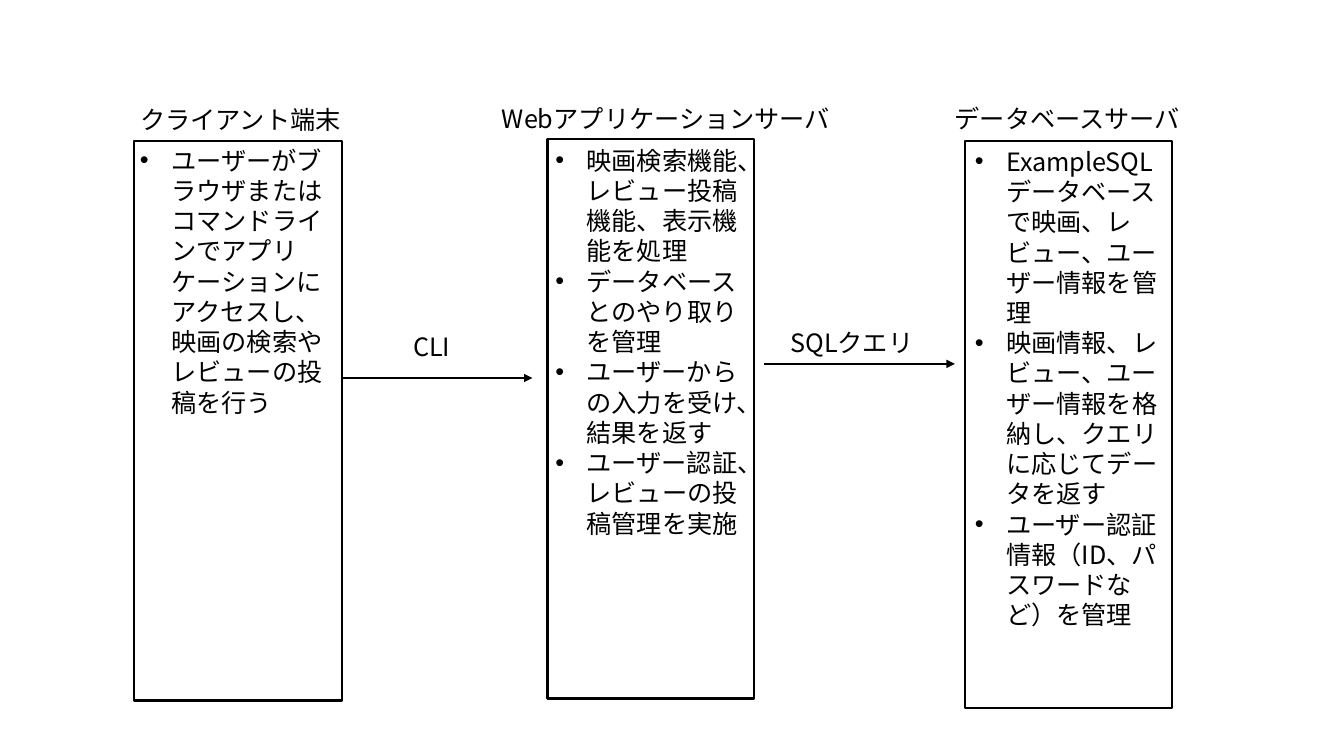
from lxml.etree import SubElement
from pptx import Presentation
from pptx.dml.color import RGBColor
from pptx.enum.shapes import MSO_CONNECTOR as Connector, MSO_SHAPE as Shape
from pptx.enum.text import MSO_AUTO_SIZE as AutoSize
from pptx.oxml.ns import qn
from pptx.util import Inches, Pt

COLORS = {"ink": "000000"}


class Diagram:
    font_format = {"name": "Noto Sans CJK JP", "size": Pt(18)}
    line_format = {"width": Pt(1.5)}
    bullet_indent = Inches(0.31)

    def __init__(self, slide):
        self.shapes = slide.shapes
        self.ink = RGBColor.from_string(COLORS["ink"])

    def apply(self, target, values):
        for key, value in values.items():
            setattr(target, key, value)

    def outline(self, line):
        self.apply(line, self.line_format)
        line.fill.solid()
        line.color.rgb = self.ink

    def frame(self, left, top, width, height):
        box = self.shapes.add_shape(Shape.RECTANGLE, *map(Inches, (left, top, width, height)))
        box.shadow.inherit = False
        box.fill.background()
        self.outline(box.line)

    def text(self, lines, left, top, width, height=0.4, wrap=True, bullets=False):
        body = self.shapes.add_textbox(*map(Inches, (left, top, width, height))).text_frame
        self.apply(body, {"word_wrap": wrap, "auto_size": AutoSize.SHAPE_TO_FIT_TEXT})
        for index, line in enumerate(lines):
            paragraph = body.add_paragraph() if index else body.paragraphs[0]
            run = paragraph.add_run()
            run.text = line
            self.apply(run.font, self.font_format)
            run.font.color.rgb = self.ink
            SubElement(run._r.get_or_add_rPr(), qn("a:ea"), typeface=self.font_format["name"])
            if bullets:
                self.bullet(paragraph)

    def bullet(self, paragraph):
        properties = paragraph._p.get_or_add_pPr()
        properties.set("marL", str(self.bullet_indent))
        properties.set("indent", str(-self.bullet_indent))
        SubElement(properties, qn("a:buFont"), typeface="Arial")
        SubElement(properties, qn("a:buChar"), char="•")

    def arrow(self, start, end, y):
        link = self.shapes.add_connector(Connector.STRAIGHT, *map(Inches, (start, y, end, y)))
        self.outline(link.line)
        SubElement(link.line._get_or_add_ln(), qn("a:tailEnd"), type="triangle")
        SubElement(link._element.spPr, qn("a:effectLst"))


CLIENT_DUTIES = [
    "ユーザーがブラウザまたはコマンドラインでアプリケーションにアクセスし、映画の検索やレビューの投稿を行う",
]
WEB_DUTIES = [
    "映画検索機能、レビュー投稿機能、表示機能を処理",
    "データベースとのやり取りを管理",
    "ユーザーからの入力を受け、結果を返す",
    "ユーザー認証、レビューの投稿管理を実施",
]
DATABASE_DUTIES = [
    "ExampleSQLデータベースで映画、レビュー、ユーザー情報を管理",
    "映画情報、レビュー、ユーザー情報を格納し、クエリに応じてデータを返す",
    "ユーザー認証情報（ID、パスワードなど）を管理",
]


def main():
    deck = Presentation()
    deck.slide_width, deck.slide_height = Inches(13.33), Inches(7.5)
    diagram = Diagram(deck.slides.add_slide(deck.slide_layouts[6]))

    diagram.frame(1.33, 1.4, 2.06, 5.55)
    diagram.text(["クライアント端末"], 1.29, 0.99, 2.22, wrap=False)
    diagram.text(CLIENT_DUTIES, 1.29, 1.39, 2.06, 2.83, bullets=True)
    diagram.text(WEB_DUTIES, 5.41, 1.39, 2.06, 4.04, bullets=True)
    diagram.text(DATABASE_DUTIES, 9.57, 1.4, 2.06, 4.95, bullets=True)
    diagram.frame(5.43, 1.38, 2.05, 5.55)
    diagram.frame(9.57, 1.4, 2.05, 5.62)
    diagram.text(["Webアプリケーションサーバ"], 4.88, 0.98, 3.57)
    diagram.text(["データベースサーバ"], 9.37, 0.98, 2.95)

    diagram.arrow(3.38, 5.28, 3.75)
    diagram.arrow(7.58, 9.47, 3.61)
    diagram.text(["SQLクエリ"], 7.74, 3.2, 1.79)
    diagram.text(["CLI"], 4, 3.24, 0.6, wrap=False)

    deck.save("out.pptx")


if __name__ == "__main__":
    main()
